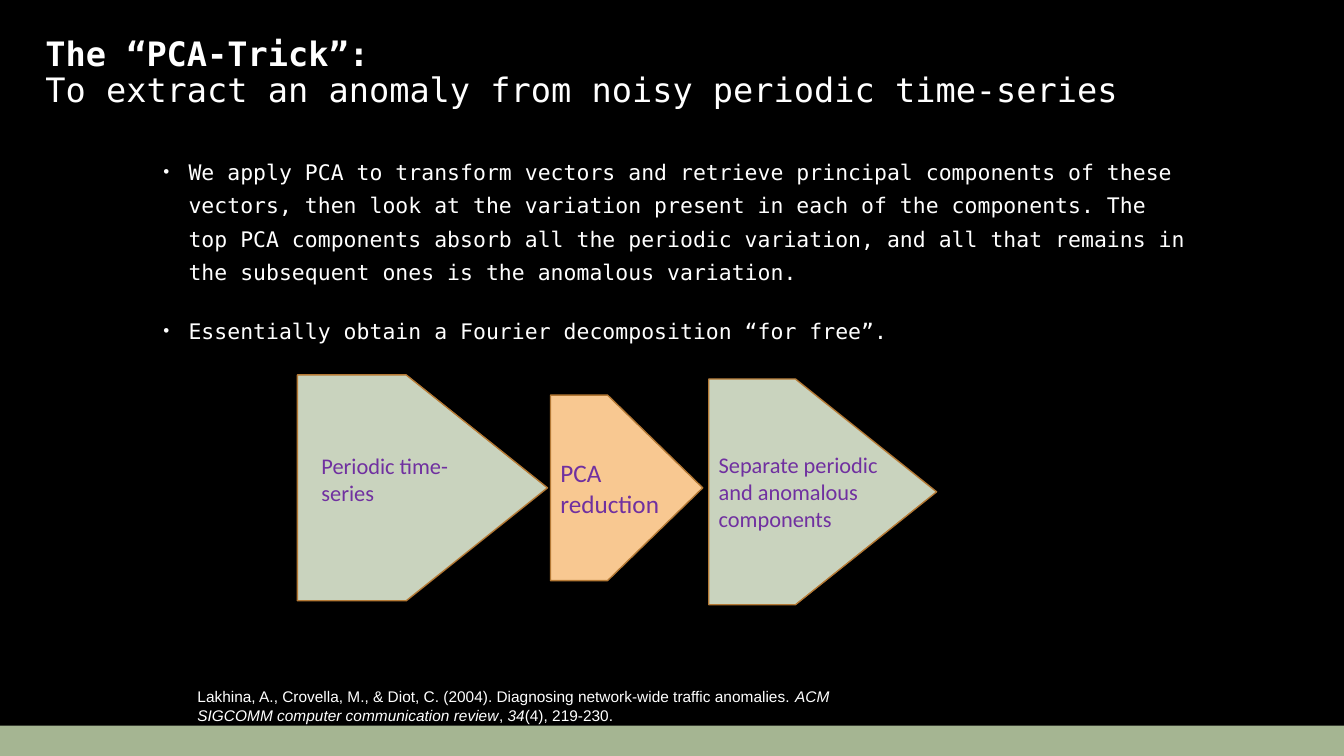
"""Build the slide on extracting an anomaly from a noisy periodic time-series with PCA."""
from lxml import etree
from pptx import Presentation
from pptx import util as u
from pptx.dml.color import RGBColor
from pptx.enum import shapes, text
from pptx.oxml import ns

WIDTH, HEIGHT = 13.33, 7.5
MONO, WHITE, PURPLE = "DejaVu Sans Mono", "FFFFFF", "7030A0"
SAGE, PEACH, OUTLINE, FOOTER = "C9D3BE", "F8C891", "B47935", "A5B592"
FOOTER_HEIGHT = 0.3
LABEL_WIDTH = 1.94

TITLE = [("The “PCA-Trick”:", True), ("To extract an anomaly from noisy periodic time-series", False)]
BULLETS = [
    "We apply PCA to transform vectors and retrieve principal components of these vectors, "
    "then look at the variation present in each of the components. The top PCA components "
    "absorb all the periodic variation, and all that remains in the subsequent ones is the "
    "anomalous variation.",
    "Essentially obtain a Fourier decomposition “for free”.",
]
STAGES = [
    {"arrow": (2.95, 3.72, 2.48, 2.24), "fill": SAGE, "label": "Periodic time-series",
     "label_at": (3.09, 4.44, LABEL_WIDTH, 0.64), "size": 16},
    {"arrow": (5.46, 3.92, 1.51, 1.84), "fill": PEACH, "label": "PCA\nreduction",
     "label_at": (5.46, 4.49, LABEL_WIDTH, 0.71), "size": 18},
    {"arrow": (7.03, 3.76, 2.26, 2.24), "fill": SAGE,
     "label": "Separate periodic\nand anomalous components",
     "label_at": (7.03, 4.43, LABEL_WIDTH, 0.91), "size": 16},
]
CITATION = [
    ("Lakhina, A., Crovella, M., & Diot, C. (2004). Diagnosing network-wide traffic anomalies. ", False),
    ("ACM SIGCOMM computer communication review", True),
    (", ", False),
    ("34", True),
    ("(4), 219-230.", False),
]


def color(value):
    return RGBColor.from_string(value)


def inches(box):
    return [u.Inches(length) for length in box]


def place(shape, box):
    shape.left, shape.top, shape.width, shape.height = inches(box)


def style(run, name, size, ink, bold=False, italic=False):
    font = run.font
    font.name, font.size, font.bold, font.italic = name, u.Pt(size), bold, italic
    font.color.rgb = color(ink)


def add_block(slide, preset, box, fill, line=None):
    shape = slide.shapes.add_shape(preset, *inches(box))
    shape.shadow.inherit = False
    shape.fill.solid()
    shape.fill.fore_color.rgb = color(fill)
    if line:
        shape.line.color.rgb = color(line)
        shape.line.width = u.Pt(1)
    else:
        shape.line.fill.background()
    return shape


def add_text_frame(slide, box):
    frame = slide.shapes.add_textbox(*inches(box)).text_frame
    frame.word_wrap = True
    return frame


def add_bullet(paragraph):
    properties = paragraph._p.get_or_add_pPr()
    properties.set("marL", str(u.Inches(0.3)))
    properties.set("indent", str(-u.Inches(0.25)))
    for tag, name, value in (("a:buSzPct", "val", "80000"), ("a:buFont", "typeface", "Arial"),
                             ("a:buChar", "char", "•")):
        etree.SubElement(properties, ns.qn(tag)).set(name, value)


def fill_title(title):
    place(title, (0.35, 0.51, 12.36, 0.63))
    frame = title.text_frame
    frame.auto_size = text.MSO_AUTO_SIZE.NONE
    frame.vertical_anchor = text.MSO_ANCHOR.BOTTOM
    frame.text = "\v".join(line for line, _ in TITLE)
    paragraph = frame.paragraphs[0]
    paragraph.alignment = text.PP_ALIGN.LEFT
    paragraph.line_spacing = 0.9
    for run, (_, bold) in zip(paragraph.runs, TITLE):
        style(run, MONO, 24, WHITE, bold=bold)


def fill_body(body):
    place(body, (1.47, 1.45, 10.4, 2))
    frame = body.text_frame
    frame.auto_size = text.MSO_AUTO_SIZE.NONE
    frame.text = "\n".join(BULLETS)
    for index, paragraph in enumerate(frame.paragraphs):
        paragraph.line_spacing = 1.3
        paragraph.space_before = u.Pt(18 if index else 0)
        add_bullet(paragraph)
        style(paragraph.runs[0], MONO, 15.3, WHITE)


def main():
    presentation = Presentation()
    presentation.slide_width, presentation.slide_height = inches((WIDTH, HEIGHT))
    slide = presentation.slides.add_slide(presentation.slide_layouts[1])
    slide.background.fill.solid()
    slide.background.fill.fore_color.rgb = color("000000")

    preset = shapes.MSO_SHAPE
    add_block(slide, preset.RECTANGLE, (0, HEIGHT - FOOTER_HEIGHT, WIDTH, FOOTER_HEIGHT), FOOTER)
    fill_title(slide.shapes.title)
    fill_body(slide.placeholders[1])

    for stage in STAGES:
        arrow = add_block(slide, preset.RIGHT_ARROW, stage["arrow"], stage["fill"], OUTLINE)
        arrow.adjustments[0], arrow.adjustments[1] = 1, 0.625
    for stage in STAGES:
        frame = add_text_frame(slide, stage["label_at"])
        frame.text = stage["label"]
        for paragraph in frame.paragraphs:
            style(paragraph.runs[0], "Calibri", stage["size"], PURPLE)

    citation = add_text_frame(slide, (1.86, 6.77, WIDTH / 2, 0.47)).paragraphs[0]
    for words, italic in CITATION:
        run = citation.add_run()
        run.text = words
        style(run, "Arial", 11, WHITE, italic=italic)

    presentation.save("out.pptx")


if __name__ == "__main__":
    main()
